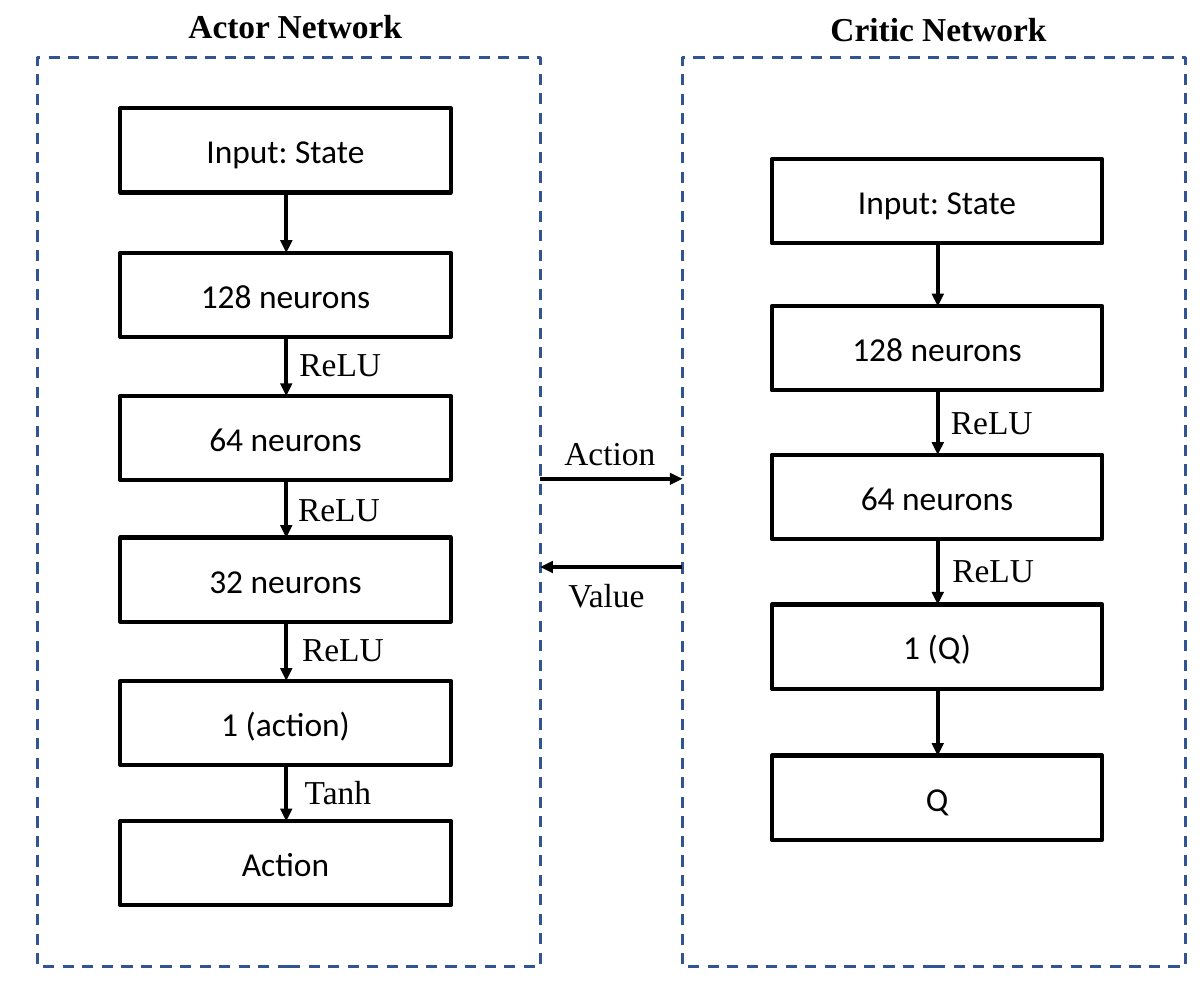
from lxml.etree import SubElement
from pptx import Presentation
from pptx.dml.color import RGBColor
from pptx.enum.dml import MSO_LINE
from pptx.enum.shapes import MSO_CONNECTOR, MSO_SHAPE
from pptx.enum.text import MSO_ANCHOR, MSO_AUTO_SIZE, PP_ALIGN
from pptx.oxml.ns import qn
from pptx.util import Emu, Pt

PX = 9144  # EMU per px, 100 px to the inch
BLACK, BLUE = "000000", "325491"
SERIF, SANS = "Times New Roman", "Calibri"
PANEL_TOP, PANEL_W, PANEL_H = 43, 376, 680
BOX_W, BOX_H = 247, 63
LABEL_H = 40

# Each layer: text, top; each label: text, left, top, width
ACTOR_LAYERS = [("Input: State", 81), ("128 neurons", 189), ("64 neurons", 296),
                ("32 neurons", 402), ("1 (action)", 509), ("Action", 614)]
CRITIC_LAYERS = [("Input: State", 119), ("128 neurons", 229), ("64 neurons", 340),
                 ("1 (Q)", 452), ("Q", 565)]
LABELS = [("Action", 412, 318, 92), ("Value", 415, 424, 78),
          ("ReLU", 214, 252, 82), ("ReLU", 213, 360, 82),
          ("ReLU", 216, 465, 82), ("Tanh", 218, 572, 70),
          ("ReLU", 701, 295, 82), ("ReLU", 702, 406, 82)]


def px(*values):
    return [Emu(v * PX) for v in values]


def rgb(color):
    return RGBColor.from_string(color)


def write(tf, text, font=SERIF, size=18, color=BLACK, bold=False, align=PP_ALIGN.LEFT):
    p = tf.paragraphs[0]
    p.alignment = align
    r = p.add_run()
    r.text = text
    r.font.name, r.font.size, r.font.bold = font, Pt(size), bold
    r.font.color.rgb = rgb(color)


def add_rect(s, x, y, w, h, color, weight, dash=None):
    sp = s.shapes.add_shape(MSO_SHAPE.RECTANGLE, *px(x, y, w, h))
    sp.shadow.inherit = False
    sp.fill.background()
    sp.line.color.rgb = rgb(color)
    sp.line.width = Pt(weight)
    if dash:
        sp.line.dash_style = dash
    return sp


def add_layer(s, text, x, y):
    tf = add_rect(s, x, y, BOX_W, BOX_H, BLACK, 2.25).text_frame
    tf.vertical_anchor = MSO_ANCHOR.MIDDLE
    write(tf, text, font=SANS, align=PP_ALIGN.CENTER)


def add_label(s, text, x, y, w, **fmt):
    tf = s.shapes.add_textbox(*px(x, y, w, LABEL_H)).text_frame
    tf.word_wrap = False
    tf.auto_size = MSO_AUTO_SIZE.SHAPE_TO_FIT_TEXT
    write(tf, text, **fmt)


def add_arrow(s, x1, y1, x2, y2):
    c = s.shapes.add_connector(MSO_CONNECTOR.STRAIGHT, *px(x1, y1, x2, y2))
    c.line.color.rgb = rgb(BLACK)
    c.line.width = Pt(2.25)
    SubElement(c.line._get_or_add_ln(), qn("a:tailEnd"), type="triangle")
    SubElement(c._element.spPr, qn("a:effectLst"))


def add_network(s, panel_x, box_x, layers):
    add_rect(s, panel_x, PANEL_TOP, PANEL_W, PANEL_H, BLUE, 1.5, MSO_LINE.DASH)
    for text, y in layers:
        add_layer(s, text, box_x, y)
    # Arrows from each layer to the next
    mid = box_x + BOX_W // 2 + 1
    for (_, y), (_, next_y) in zip(layers, layers[1:]):
        add_arrow(s, mid, y + BOX_H, mid, next_y)


def main():
    prs = Presentation()
    prs.slide_width, prs.slide_height = px(900, 750)
    s = prs.slides.add_slide(prs.slide_layouts[6])

    # Networks and their titles
    add_network(s, 28, 90, ACTOR_LAYERS)
    add_network(s, 510, 577, CRITIC_LAYERS)
    add_label(s, "Actor Network", 131, -1, 182, bold=True)
    add_label(s, "Critic Network", 611, 1, 184, bold=True)

    # Exchange between the networks
    add_arrow(s, 404, 358, 510, 358)
    add_arrow(s, 510, 424, 404, 424)

    # Activations and exchanged signals
    for label in LABELS:
        add_label(s, *label)

    prs.save("out.pptx")


if __name__ == "__main__":
    main()
